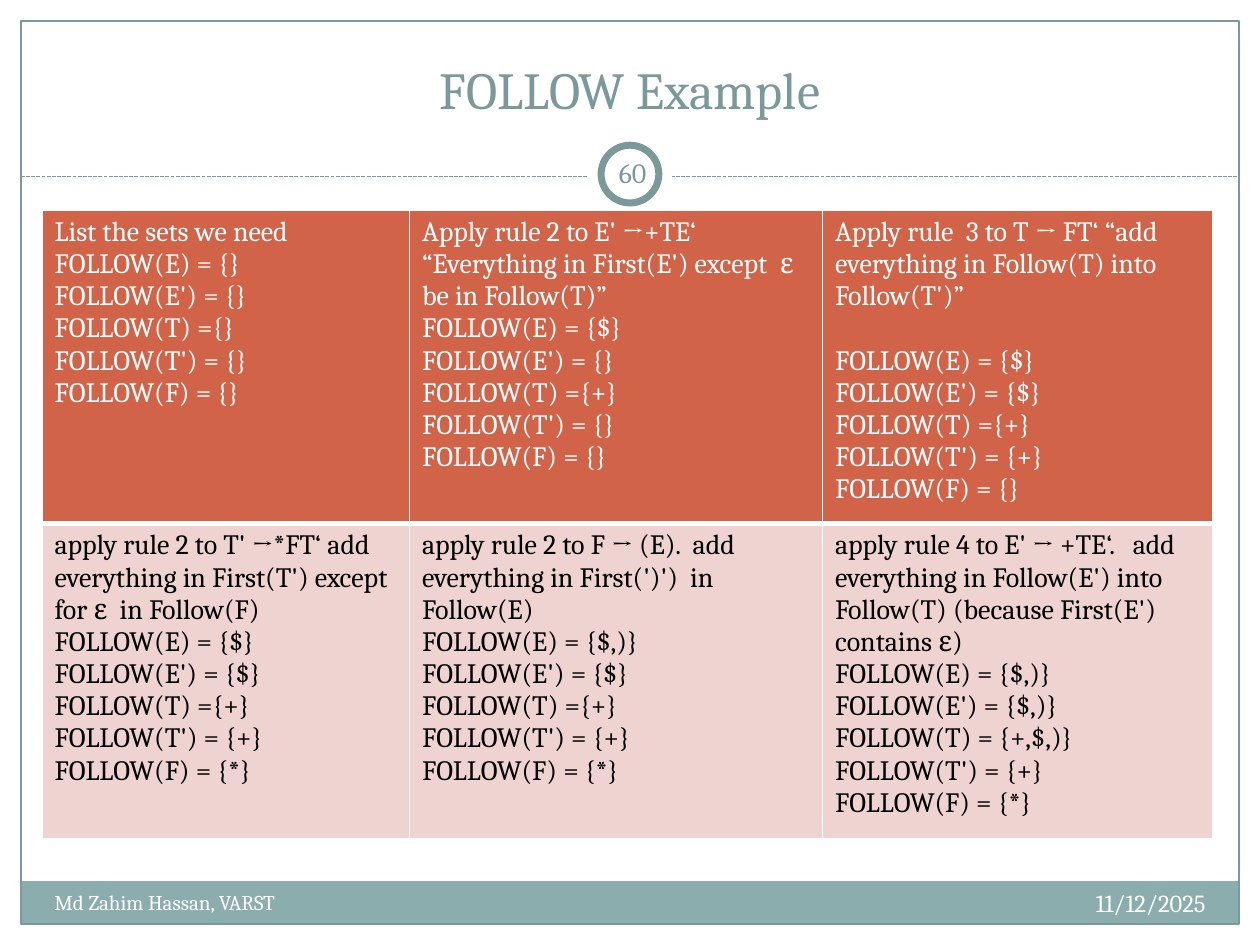
from lxml import etree
from pptx import Presentation
from pptx import util as u
from pptx.dml.color import RGBColor
from pptx.enum import dml, shapes, text
from pptx.oxml import ns

WHITE = RGBColor(0xFF, 0xFF, 0xFF)
BLACK = RGBColor(0, 0, 0)
TEAL = RGBColor(0x7C, 0x99, 0x9A)
FOOTER_TEAL = RGBColor(0x8C, 0xAD, 0xAE)
RUST = RGBColor(0xD1, 0x63, 0x49)
BLUSH = RGBColor(0xEE, 0xD3, 0xD0)
FONT = "Cambria"
LEFT, CENTER, RIGHT = text.PP_ALIGN.LEFT, text.PP_ALIGN.CENTER, text.PP_ALIGN.RIGHT
TOP, MIDDLE, BOTTOM = text.MSO_ANCHOR.TOP, text.MSO_ANCHOR.MIDDLE, text.MSO_ANCHOR.BOTTOM

NONTERMINALS = ("E", "E'", "T", "T'", "F")
# Each step: the rule applied, then the set of every nonterminal.
STEPS = [
    [("List the sets we need",
      "= {}", "= {}", "={}", "= {}", "= {}"),
     ("Apply rule 2 to E' →+TE‘ “Everything in First(E') except  ε  be in Follow(T)”",
      "= {$}", "= {}", "={+}", "= {}", "= {}"),
     ("Apply rule  3 to T → FT‘ “add everything in Follow(T) into Follow(T')”",
      "= {$}", "= {$}", "={+}", "= {+}", "= {}")],
    [("apply rule 2 to T' →*FT‘ add everything in First(T') except for ε  in Follow(F)",
      "= {$}", "= {$}", "={+}", "= {+}", "= {*}"),
     ("apply rule 2 to F → (E).  add everything in First(')')  in Follow(E)",
      "= {$,)}", "= {$}", "={+}", "= {+}", "= {*}"),
     ("apply rule 4 to E' → +TE‘.   add everything in Follow(E') into Follow(T) "
      "(because First(E') contains ε)",
      "= {$,)}", "= {$,)}", "= {+,$,)}", "= {+}", "= {*}")],
]
ROW_STYLES = [(RUST, WHITE), (BLUSH, BLACK)]
RULE_GAP = 18.4  # one line, between the third rule and its sets


def points(*lengths):
    return [u.Pt(length) for length in lengths]


def step_text(step):
    rule, *sets = step
    return "\n".join([rule] + [f"FOLLOW({name}) {value}"
                               for name, value in zip(NONTERMINALS, sets)])


class SlideBuilder:
    def __init__(self, slide, font):
        self.slide = slide
        self.font = font

    def style_text(self, frame, size, color, align=LEFT):
        for paragraph in frame.paragraphs:
            paragraph.alignment = align
            for run in paragraph.runs:
                run.font.name = self.font
                run.font.size = u.Pt(size)
                run.font.color.rgb = color

    def shape(self, kind, box, fill=None, line=None, width=0.75):
        item = self.slide.shapes.add_shape(kind, *points(*box))
        item.shadow.inherit = False
        if fill is None:
            item.fill.background()
        else:
            item.fill.solid()
            item.fill.fore_color.rgb = fill
        if line is None:
            item.line.fill.background()
        else:
            item.line.color.rgb = line
            item.line.width = u.Pt(width)

    def dashed_line(self, ends, color, width=0.75):
        line = self.slide.shapes.add_connector(shapes.MSO_CONNECTOR.STRAIGHT, *points(*ends))
        line.line.color.rgb = color
        line.line.width = u.Pt(width)
        line.line.dash_style = dml.MSO_LINE.SQUARE_DOT
        etree.SubElement(line._element.spPr, ns.qn("a:effectLst"))

    def label(self, words, box, size, color, align=LEFT, anchor=TOP, inset=None):
        frame = self.slide.shapes.add_textbox(*points(*box)).text_frame
        frame.word_wrap = True
        frame.vertical_anchor = anchor
        if inset is not None:
            frame.margin_left = frame.margin_right = u.Pt(inset)
            frame.margin_top = frame.margin_bottom = u.Pt(inset)
        frame.text = words
        self.style_text(frame, size, color, align)

    def cell_borders(self, cell, color, widths):
        """Widths go left, right, top, bottom; borders must precede the fill."""
        properties = cell._tc.get_or_add_tcPr()
        for index, (side, width) in enumerate(zip("LRTB", widths)):
            border = etree.Element(ns.qn(f"a:ln{side}"), w=str(u.Pt(width)))
            fill = etree.SubElement(border, ns.qn("a:solidFill"))
            etree.SubElement(fill, ns.qn("a:srgbClr"), val=str(color))
            properties.insert(index, border)

    def table(self, rows, styles, box, column_widths, size, border_widths):
        table = self.slide.shapes.add_table(
            len(rows), len(column_widths), *points(*box)).table
        for column, width in zip(table.columns, column_widths):
            column.width = u.Pt(width)
        for r, (row, (fill, color)) in enumerate(zip(rows, styles)):
            for c, words in enumerate(row):
                cell = table.cell(r, c)
                cell.text_frame.text = words
                self.style_text(cell.text_frame, size, color)
                cell.fill.solid()
                cell.fill.fore_color.rgb = fill
                self.cell_borders(cell, WHITE, border_widths[r])
        return table


def main():
    deck = Presentation()
    deck.slide_width, deck.slide_height = points(720, 540)
    page = SlideBuilder(deck.slides.add_slide(deck.slide_layouts[6]), FONT)
    rectangle, oval = shapes.MSO_SHAPE.RECTANGLE, shapes.MSO_SHAPE.OVAL

    page.shape(rectangle, (12, 503.5, 696, 24.5), fill=FOOTER_TEAL)
    page.shape(rectangle, (12, 12, 696, 516), line=TEAL)
    page.dashed_line((12, 100.8, 708, 100.8), TEAL)
    page.shape(oval, (336, 75.5, 48, 48), fill=WHITE)
    page.shape(oval, (343.5, 83, 33, 33), fill=WHITE, line=TEAL, width=4)

    page.label("FOLLOW Example", (24, 30, 672, 42), 29.7, TEAL, CENTER, BOTTOM)
    page.label("11/12/2025", (456, 504, 240, 29), 14, WHITE, RIGHT)
    page.label("Md Zahim Hassan, VARST", (24, 505, 282, 29), 12, WHITE)
    page.label("60", (343.5, 81, 36, 34.5), 16, TEAL, CENTER, MIDDLE, inset=3.6)

    steps = page.table([[step_text(step) for step in row] for row in STEPS], ROW_STYLES,
                       (24, 120, 669, 344), (210, 236, 223), 16,
                       [(1, 1, 1, 3), (1, 1, 3, 1)])
    steps.cell(0, 2).text_frame.paragraphs[1].space_before = u.Pt(RULE_GAP)

    deck.save("out.pptx")


if __name__ == "__main__":
    main()
